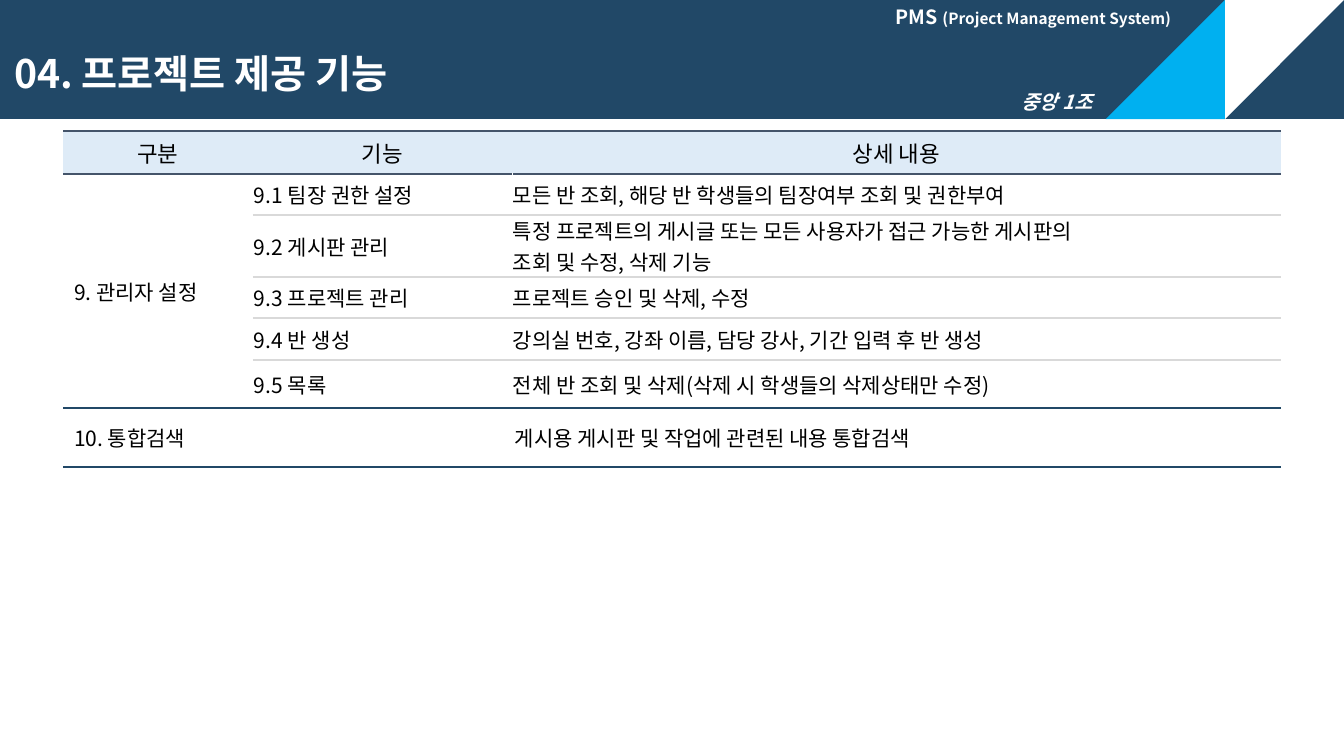
"""Build the project feature slide with its banner and feature table."""
from itertools import accumulate
from lxml.etree import SubElement
from pptx import Presentation
from pptx.dml.color import RGBColor
from pptx.enum.shapes import MSO_SHAPE
from pptx.enum.text import MSO_ANCHOR, PP_ALIGN
from pptx.oxml import parse_xml
from pptx.oxml.ns import nsdecls, qn
from pptx.util import Pt

FONT = "Noto Sans CJK KR"
NAVY, SLATE, GREY, WHITE, BLACK = "214867", "44546A", "D9D9D9", "FFFFFF", "000000"
SKY, PALE = "00B0F0", "DEEBF7"

TITLE = "04. 프로젝트 제공 기능"
TEAM = "중앙 1조"
SYSTEM = [("PMS ", 14), ("(Project Management System)", 11)]
ROWS = [
    ("구분", "기능", "상세 내용"),
    ("9. 관리자 설정", "9.1 팀장 권한 설정", "모든 반 조회, 해당 반 학생들의 팀장여부 조회 및 권한부여"),
    ("", "9.2 게시판 관리", "특정 프로젝트의 게시글 또는 모든 사용자가 접근 가능한 게시판의\n조회 및 수정, 삭제 기능"),
    ("", "9.3 프로젝트 관리", "프로젝트 승인 및 삭제, 수정"),
    ("", "9.4 반 생성", "강의실 번호, 강좌 이름, 담당 강사, 기간 입력 후 반 생성"),
    ("", "9.5 목록", "전체 반 조회 및 삭제(삭제 시 학생들의 삭제상태만 수정)"),
    ("10. 통합검색", "", "게시용 게시판 및 작업에 관련된 내용 통합검색"),
]
COLUMN_WIDTHS = [190, 259, 769]
ROW_HEIGHTS = [43, 41, 62, 41, 42, 48, 59]
RULES = [(SLATE, 2.25)] * 2 + [(GREY, 1)] * 4 + [(NAVY, 2.25)] * 2
GROUP_FIRST, GROUP_LAST = 1, 5
BANNER_HEIGHT, TRIANGLE = 119, 119


def px(length):
    return round(length * 914400 / 100.8)


def color(value):
    return RGBColor.from_string(value)


def style(paragraph, size, tint, bold=False, italic=False):
    font = paragraph.font
    font.name, font.size, font.bold, font.italic = FONT, Pt(size), bold, italic
    font.color.rgb = color(tint)
    defaults = paragraph._p.pPr.find(qn("a:defRPr"))
    defaults.set("kern", "0")
    SubElement(defaults, qn("a:ea")).set("typeface", FONT)


def add_block(page, kind, left, top, width, height, fill, rotation=0):
    block = page.shapes.add_shape(kind, px(left), px(top), px(width), px(height))
    block.shadow.inherit = False
    block.fill.solid()
    block.fill.fore_color.rgb = color(fill)
    block.line.fill.background()
    block.rotation = rotation


def add_label(page, left, top, width, height, spans, anchor, italic=False):
    box = page.shapes.add_textbox(px(left), px(top), px(width), px(height))
    frame = box.text_frame
    frame.word_wrap, frame.vertical_anchor = False, anchor
    para = frame.paragraphs[0]
    para.alignment = PP_ALIGN.LEFT
    style(para, spans[0][1], WHITE, True, italic)
    for text, size in spans:
        span = para.add_run()
        span.text, span.font.size = text, Pt(size)


def set_borders(cell, edges):
    properties = cell._tc.get_or_add_tcPr()
    for index, (side, edge) in enumerate(edges.items()):
        tint, width = edge or (None, 0)
        paint = f'<a:solidFill><a:srgbClr val="{tint}"/></a:solidFill>' if edge else "<a:noFill/>"
        line = f'<a:ln{side} {nsdecls("a")} w="{Pt(width)}">{paint}</a:ln{side}>'
        properties.insert(index, parse_xml(line))


def find_edges(row, column):
    grouped = column == 0 and GROUP_FIRST <= row <= GROUP_LAST
    top, bottom = (GROUP_FIRST, GROUP_LAST + 1) if grouped else (row, row + 1)
    gap = (WHITE, 0.75) if row else None
    return {"L": gap if column == 2 else None, "R": gap if column == 1 else None,
            "T": RULES[top], "B": RULES[bottom]}


def fill_cell(cell, text, row, column):
    header, detail = row == 0, column > 0 and GROUP_FIRST <= row <= GROUP_LAST
    cell.vertical_anchor = MSO_ANCHOR.MIDDLE
    side, edge = (1, 0) if detail else (3, 2)
    cell.margin_left = px(11 if column == 0 and not header else side)
    cell.margin_right = px(side)
    cell.margin_top = cell.margin_bottom = px(edge)
    cell.text = text
    for para in cell.text_frame.paragraphs:
        para.alignment = PP_ALIGN.CENTER if header else PP_ALIGN.LEFT
        style(para, 16 if header else 15, BLACK)
    cell.fill.solid()
    cell.fill.fore_color.rgb = color(PALE if header else WHITE)
    set_borders(cell, find_edges(row, column))


def add_feature_table(page):
    frame = page.shapes.add_table(len(ROWS), len(COLUMN_WIDTHS), px(63), px(131),
                                  px(sum(COLUMN_WIDTHS)), px(sum(ROW_HEIGHTS)))
    table = frame.table
    table.first_row = table.horz_banding = False
    for column, width in zip(table.columns, COLUMN_WIDTHS):
        column.width = px(width)
    for row, height in zip(table.rows, ROW_HEIGHTS):
        row.height = px(height)
    for row, texts in enumerate(ROWS):
        for column, text in enumerate(texts):
            fill_cell(table.cell(row, column), text, row, column)
    table.cell(GROUP_FIRST, 0).merge(table.cell(GROUP_LAST, 0))


def add_title(page):
    title = page.shapes.title
    title.left, title.top, title.width, title.height = px(4), px(39), px(860), px(74)
    title.text_frame.text = TITLE
    title.text_frame.vertical_anchor = MSO_ANCHOR.MIDDLE
    para = title.text_frame.paragraphs[0]
    para.alignment, para.line_spacing = PP_ALIGN.LEFT, 0.9
    style(para, 28, WHITE, True)
    page.shapes._spTree.append(title._element)


def main():
    deck = Presentation()
    deck.slide_width, deck.slide_height = px(1344), px(756)
    page = deck.slides.add_slide(deck.slide_layouts[5])
    add_block(page, MSO_SHAPE.RECTANGLE, 0, 0, 1344, BANNER_HEIGHT, NAVY)
    lefts = accumulate([1225, -TRIANGLE])
    for left, fill, rotation in zip(lefts, (WHITE, SKY), (90, 270)):
        add_block(page, MSO_SHAPE.RIGHT_TRIANGLE, left, 0, TRIANGLE, TRIANGLE, fill, rotation)
    add_label(page, 1012, 85, 106, 34, [(TEAM, 14)], MSO_ANCHOR.TOP, True)
    add_label(page, 886, 0, 305, 34, SYSTEM, MSO_ANCHOR.MIDDLE)
    add_title(page)
    add_feature_table(page)
    deck.save("out.pptx")


if __name__ == "__main__":
    main()
